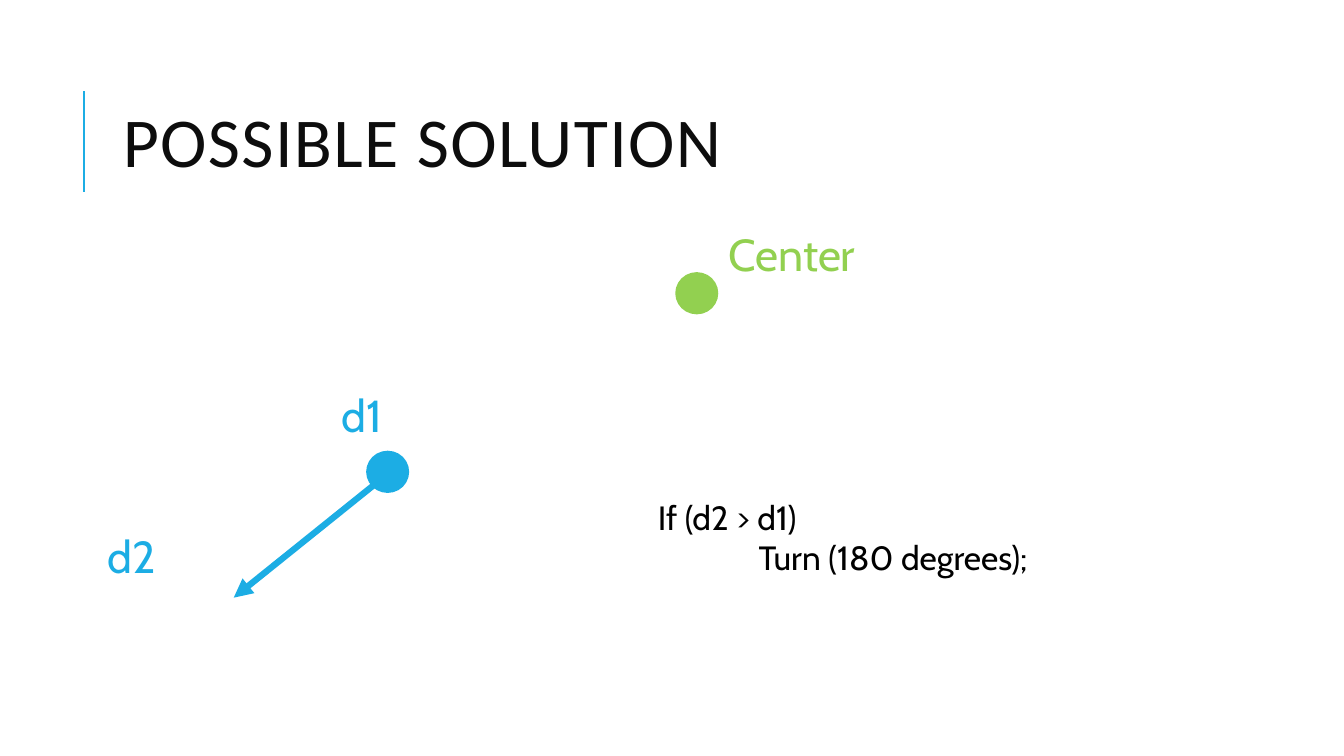
from lxml import etree
from pptx import Presentation
from pptx.dml.color import RGBColor
from pptx.enum.shapes import MSO_CONNECTOR as CONNECTOR, MSO_SHAPE as SHAPE
from pptx.enum.text import MSO_ANCHOR as ANCHOR, MSO_AUTO_SIZE as AUTO_SIZE, PP_ALIGN as ALIGN
from pptx.oxml.ns import qn
from pptx.util import Cm, Pt

BLUE = RGBColor(0x1C, 0xAD, 0xE4)
GREEN = RGBColor(0x92, 0xD0, 0x50)
BLACK = RGBColor(0, 0, 0)
TITLE_INK = RGBColor(0x0D, 0x0D, 0x0D)


def add_line(x1, y1, x2, y2, width):
    line = slide.shapes.add_connector(CONNECTOR.STRAIGHT, Cm(x1), Cm(y1), Cm(x2), Cm(y2))
    line.line.color.rgb = BLUE
    line.line.width = Pt(width)
    etree.SubElement(line._element.spPr, qn("a:effectLst"))
    return line


def add_text(left, top, width, height, text, size, color):
    box = slide.shapes.add_textbox(Cm(left), Cm(top), Cm(width), Cm(height))
    frame = box.text_frame
    frame.word_wrap = True
    frame.auto_size = AUTO_SIZE.SHAPE_TO_FIT_TEXT
    frame.text = text
    for paragraph in frame.paragraphs:
        paragraph.font.name = "Cabin"
        paragraph.font.size = Pt(size)
        paragraph.font.color.rgb = color
    return frame


prs = Presentation()
prs.slide_width, prs.slide_height = Cm(33.87), Cm(19.05)
slide = prs.slides.add_slide(prs.slide_layouts[5])

add_line(2.12, 4.83, 2.12, 2.29, 1.5)

title = slide.shapes.title
title.left, title.top, title.width, title.height = Cm(2.84), Cm(1.63), Cm(27), Cm(4.17)
title.text_frame.text = "POSSIBLE SOLUTION"
title.text_frame.vertical_anchor = ANCHOR.MIDDLE
title.text_frame.auto_size = AUTO_SIZE.NONE
heading = title.text_frame.paragraphs[0]
heading.alignment = ALIGN.LEFT
heading.line_spacing = 0.8
heading.font.name = "Calibri"
heading.font.size = Pt(50)
heading.font.color.rgb = TITLE_INK
heading.runs[0].font._element.set("spc", "100")

for left, top, color in [(17.04, 6.88, GREEN), (9.25, 11.38, BLUE)]:
    dot = slide.shapes.add_shape(SHAPE.OVAL, Cm(left), Cm(top), Cm(1.04), Cm(1.02))
    dot.shadow.inherit = False
    dot.fill.solid()
    dot.fill.fore_color.rgb = color
    dot.line.color.rgb = color
    dot.line.width = Pt(1.25)

heading_arrow = add_line(9.4, 12.24, 5.89, 15.06, 4.5)
etree.SubElement(heading_arrow.line._get_or_add_ln(), qn("a:tailEnd"), type="triangle")

for left, top, label, color in [
    (8.36, 9.65, "d1", BLUE),
    (2.46, 13.21, "d2", BLUE),
    (18.11, 5.59, "Center", GREEN),
]:
    add_text(left, top, 6.07, 1.63, label, 32, color)

rule = add_text(16.33, 12.4, 15.09, 2.31, "If (d2 > d1)\nTurn (180 degrees);", 24, BLACK)
rule.paragraphs[1]._p.get_or_add_pPr().set("marL", str(Cm(2.54)))

prs.save("out.pptx")
